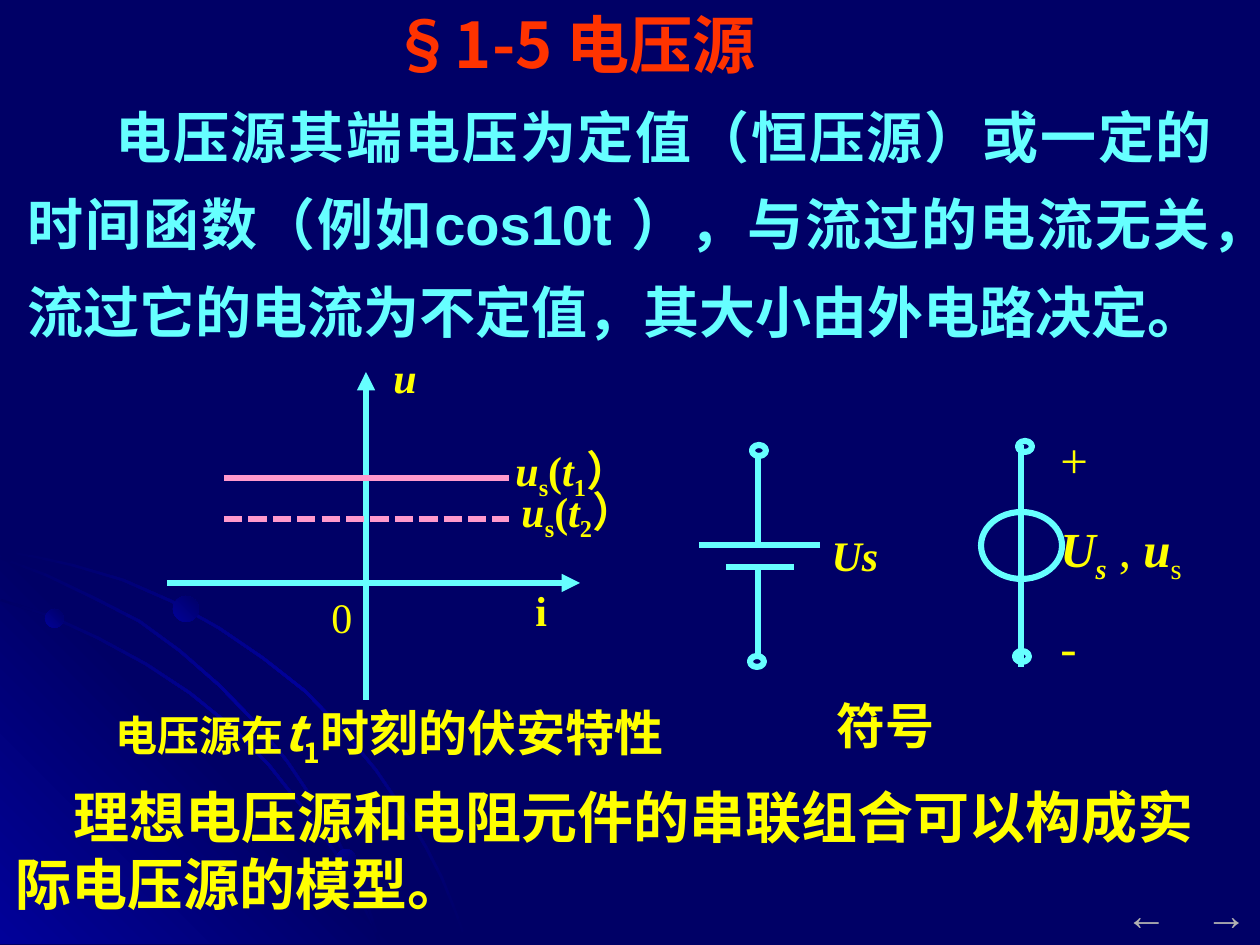
"""Build the voltage source slide with its characteristic and circuit symbols."""
from lxml.etree import SubElement
from pptx import Presentation
from pptx.dml.color import RGBColor as Color
from pptx.enum.dml import MSO_LINE as Dash
from pptx.enum.shapes import MSO_CONNECTOR as Connector, MSO_SHAPE as Shape
from pptx.enum.text import MSO_ANCHOR as Anchor, PP_ALIGN as Align
from pptx.oxml.ns import qn
from pptx.util import Emu, Pt

THEME = {
    "navy": "000066", "blue": "010199", "red": "FF3300", "cyan": "66FFFF",
    "yellow": "FFFF00", "pink": "FF99CC", "grey": "B2B2B2",
    "serif": "Times New Roman", "sans": "Arial", "cjk": "Noto Sans CJK SC",
    "title": 36, "body": 32, "large": 28, "label": 24, "stroke": 3.5,
}


def px(value):
    return Emu(round(value * 914400 / 126))


def write(frame, paragraphs, size="label", color="yellow", face="serif", bold=False,
          align=Align.LEFT, indent=0, spacing=1, before=0, wrap=True):
    box = page.shapes.add_textbox(*map(px, frame))
    box.text_frame.word_wrap = wrap
    for index, spans in enumerate(paragraphs):
        para = box.text_frame.paragraphs[0] if index == 0 else box.text_frame.add_paragraph()
        para.alignment, para.line_spacing = align, spacing
        if index:
            para.space_before = Pt(before)
        if indent:
            para._p.get_or_add_pPr().set("indent", str(px(indent)))
        para.font.size, para.font.name = Pt(THEME[size]), THEME[face]
        para.font.bold = bold
        para.font.color.rgb = Color.from_string(THEME[color])
        for text, style in spans:
            span = para.add_run()
            span.text = text
            if "b" in style:
                span.font.bold = True
            if "i" in style:
                span.font.italic = True
            if "L" in style:
                span.font.size = Pt(THEME["large"])
            if "_" in style:
                span.font._element.set("baseline", "-25000")
            SubElement(span.font._element, qn("a:ea"), typeface=THEME["cjk"])
    return box


deck = Presentation()
deck.slide_width, deck.slide_height = px(1260), px(945)
page = deck.slides.add_slide(deck.slide_layouts[6])
page.background.fill.solid()
page.background.fill.fore_color.rgb = Color.from_string(THEME["navy"])

arcs = [
    [(0, 552), (35, 558), (71, 566), (122, 581), (170, 602), (218, 629), (262, 659),
     (304, 692), (341, 730), (375, 771), (407, 818), (425, 848), (441, 879), (454, 911), (466, 944)],
    [(0, 601), (49, 617), (97, 639), (145, 665), (189, 694), (231, 728), (268, 766),
     (302, 809), (334, 853), (359, 900), (370, 922), (379, 944)],
    [(0, 559), (45, 576), (93, 599), (138, 622), (179, 652), (218, 686), (254, 723),
     (286, 762), (317, 808), (336, 840), (353, 874), (368, 910), (379, 944)],
]
bands = [arc + [(x + 2, y - 2) for x, y in reversed(arc)] for arc in arcs]
corner = [(0, 538), (406, 944), (0, 944)]
glow, sheen, fade = ("navy", "blue", "navy"), ("blue", "navy", "blue"), ("blue", "navy")
backdrop = []
for outline, colors, angle in [(bands[0], glow, 45), (corner, sheen, 315),
                               (bands[1], glow, 45), (bands[2], glow, 45)]:
    builder = page.shapes.build_freeform(*map(px, outline[0]), scale=1.0)
    builder.add_line_segments([(px(x), px(y)) for x, y in outline[1:]], close=True)
    backdrop.append((builder.convert_to_shape(), colors, angle))
for left, top, size, angle in [(45, 609, 19, 315), (336, 849, 20, 45), (173, 596, 26, 315)]:
    dot = page.shapes.add_shape(Shape.OVAL, px(left), px(top), px(size), px(size))
    backdrop.append((dot, fade, angle))
for shape, colors, angle in backdrop:
    shape.shadow.inherit = False
    shape.line.fill.background()
    shape.fill.gradient()
    shape.fill.gradient_angle = 360 - angle
    stops = shape._element.spPr.find(".//" + qn("a:gsLst"))
    for stop in list(stops):
        stops.remove(stop)
    for index, name in enumerate(colors):
        stop = SubElement(stops, qn("a:gs"), pos=str(100000 * index // (len(colors) - 1)))
        SubElement(stop, qn("a:srgbClr"), val=THEME[name])

title = write((132, 0, 884, 86), [[("§1-5 电压源", "")]], "title", "red", "cjk", True, Align.CENTER)
title.text_frame.vertical_anchor = Anchor.MIDDLE
write((15, 76, 1210, 275),
      [[("电压源其端电压为定值（恒压源）或一定的时间函数（例如cos10t ），与流过的电流无关，"
         "流过它的电流为不定值，其大小由外电路决定。", "")]],
      "body", "cyan", "sans", True, Align.JUSTIFY, indent=88, spacing=1.3)
for left, arrow in [(1193, "→"), (1113, "←")]:
    write((left, 882, 67, 63), [[(arrow, "")]], color="grey", face="sans", wrap=False)

lines = [
    (167, 583, 580, 583, "cyan", "arrow"), (366, 700, 366, 372, "cyan", "arrow"),
    (224, 478, 509, 478, "pink", ""), (224, 519, 509, 519, "pink", "dash"),
    (699, 545, 820, 545, "cyan", ""), (726, 567, 794, 567, "cyan", ""),
    (758, 456, 758, 545, "cyan", ""), (758, 567, 758, 655, "cyan", ""),
    (1021, 445, 1021, 667, "cyan", ""),
]
for *ends, color, kind in lines:
    wire = page.shapes.add_connector(Connector.STRAIGHT, *map(px, ends))
    wire.line.width = Pt(THEME["stroke"])
    wire.line.color.rgb = Color.from_string(THEME[color])
    if kind == "dash":
        wire.line.dash_style = Dash.SQUARE_DOT
    if kind == "arrow":
        SubElement(wire.line._get_or_add_ln(), qn("a:tailEnd"), type="triangle")
    SubElement(wire._element.spPr, qn("a:effectLst"))

terminals = [(left, top, 14, 11) for left, top in [(750, 656), (752, 445), (1015, 651), (1018, 441)]]
for frame in terminals + [(981, 512, 81, 67)]:
    ring = page.shapes.add_shape(Shape.OVAL, *map(px, frame))
    ring.shadow.inherit = False
    ring.fill.background()
    ring.line.width = Pt(THEME["stroke"])
    ring.line.color.rgb = Color.from_string(THEME["cyan"])

write((381, 345, 142, 63), [[("u", "i")]], bold=True)
write((523, 578, 71, 63), [[("i", "")]], bold=True)
write((319, 585, 142, 63), [[("0", "")]])
for left, top, moment in [(503, 438, "1"), (509, 479, "2")]:
    write((left, top, 160, 71),
          [[("u", "i"), ("s", "_"), ("(", ""), ("t", "i"), (moment, "_"), ("）", "")]], bold=True)
write((1048, 423, 168, 258),
      [[("+", "")],
       [("U", "bi"), ("s", "bi_"), (" , ", ""), ("u", "bi"), ("s", "_")],
       [("-", "")]], "large", before=17.5)
write((819, 523, 72, 63), [[("Us", "i")]], bold=True, align=Align.CENTER, wrap=False)

write((103, 696, 646, 79),
      [[("电压源在", ""), ("t", "iL"), ("1", "L_"), ("时刻的伏安特性", "L")]], face="cjk", bold=True)
write((824, 689, 271, 72), [[("符号", "")]], "large", face="cjk", bold=True)
write((3, 776, 1235, 147), [[("理想电压源和电阻元件的串联组合可以构成实际电压源的模型。", "")]],
      "body", face="cjk", bold=True, indent=58)

deck.save("out.pptx")
